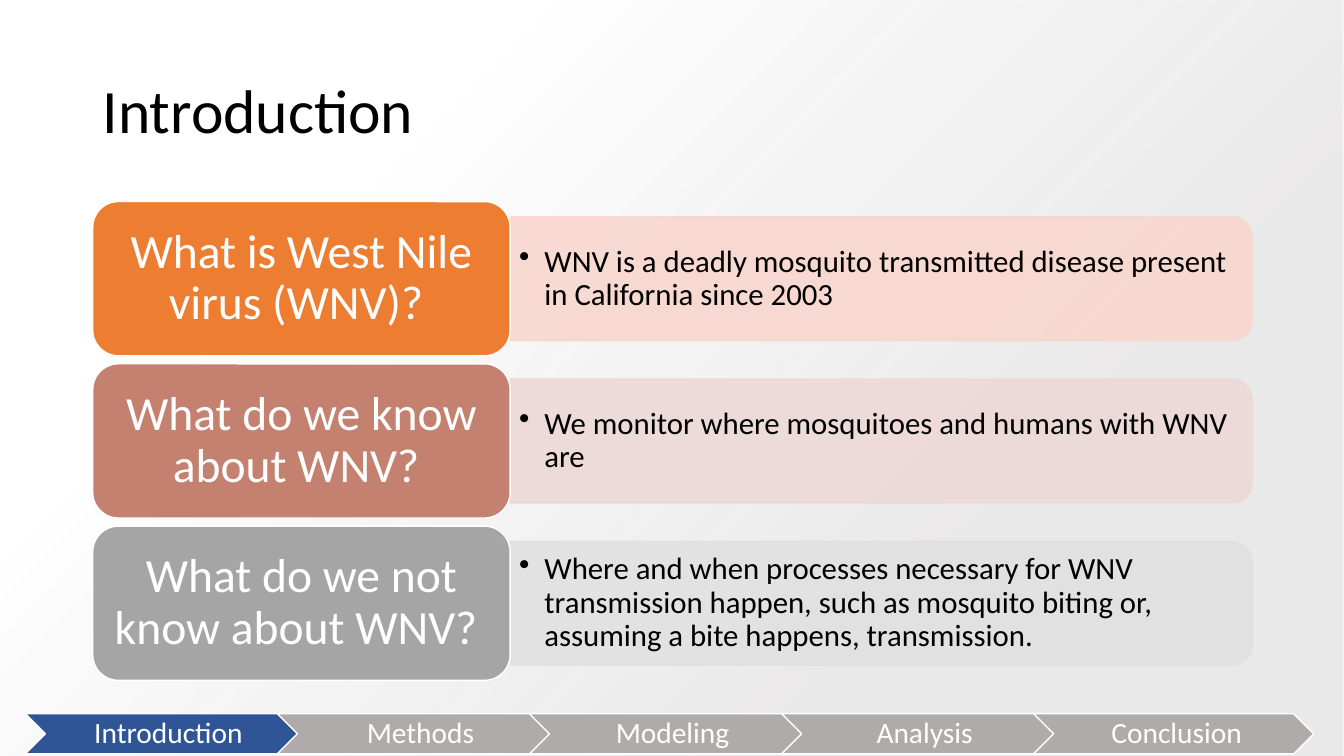
from lxml import etree
from pptx import Presentation
from pptx.dml.color import RGBColor
from pptx.enum.shapes import MSO_SHAPE
from pptx.enum.text import MSO_ANCHOR, PP_ALIGN
from pptx.oxml import parse_xml
from pptx.oxml.ns import nsdecls, qn
from pptx.util import Inches, Pt

RECTANGLE = MSO_SHAPE.RECTANGLE
ROUNDED = MSO_SHAPE.ROUNDED_RECTANGLE
TWO_ROUND_CORNERS = MSO_SHAPE.ROUND_2_SAME_RECTANGLE
CHEVRON = MSO_SHAPE.CHEVRON
MIDDLE = MSO_ANCHOR.MIDDLE
LEFT, CENTER = PP_ALIGN.LEFT, PP_ALIGN.CENTER

SLIDE_WIDTH, SLIDE_HEIGHT = 13.33, 7.5
MARGIN = 0.92
ROW_TOP, ROW_STEP, CARD_HEIGHT, CARD_WIDTH = 2, 1.61, 1.53, 4.14
PANEL_LEFT = MARGIN + CARD_WIDTH
PANEL_WIDTH, PANEL_HEIGHT = 7.36, 1.23
NAV_LEFT, NAV_STEP, NAV_TOP = 0.25, 2.5, 7.08

ROWS = [
    ("What is West Nile virus (WNV)? ", "ED7D31", "F8D7CE",
     "WNV is a deadly mosquito transmitted disease present in California since 2003"),
    ("What do we know about WNV? ", "C48170", "EDD9D7",
     "We monitor where mosquitoes and humans with WNV are"),
    ("What do we not know about WNV? ", "A5A5A5", "E1E1E1",
     "Where and when processes necessary for WNV transmission happen, such as "
     "mosquito biting or, assuming a bite happens, transmission."),
]
SECTIONS = ["Introduction", "Methods", "Modeling", "Analysis", "Conclusion"]

presentation = Presentation()
presentation.slide_width = Inches(SLIDE_WIDTH)
presentation.slide_height = Inches(SLIDE_HEIGHT)
slide = presentation.slides.add_slide(presentation.slide_layouts[6])


def add_block(kind, left, top, width, height, fill, line):
    shape = slide.shapes.add_shape(
        kind, Inches(left), Inches(top), Inches(width), Inches(height))
    shape.shadow.inherit = False
    shape.fill.solid()
    shape.fill.fore_color.rgb = RGBColor.from_string(fill)
    shape.line.color.rgb = RGBColor.from_string(line)
    shape.line.width = Pt(1)
    return shape


def write(shape, text, size, color, align, insets, bullet=False):
    """Fill a shape with one paragraph; insets are left, top, right, bottom in inches."""
    frame = shape.text_frame
    frame.word_wrap = True
    frame.vertical_anchor = MIDDLE
    (frame.margin_left, frame.margin_top,
     frame.margin_right, frame.margin_bottom) = map(Inches, insets)
    frame.text = text
    paragraph = frame.paragraphs[0]
    paragraph.alignment = align
    paragraph.line_spacing = 0.9
    if bullet:
        properties = paragraph._p.get_or_add_pPr()
        properties.set("marL", str(Inches(0.25)))
        properties.set("indent", str(Inches(-0.25)))
        etree.SubElement(properties, qn("a:buChar")).set("char", "•")
    font = paragraph.runs[0].font
    font.name = "Calibri"
    font.size = Pt(size)
    font.color.rgb = RGBColor.from_string(color)


# Backdrop with a gradient spreading from the bottom right corner
backdrop = add_block(RECTANGLE, 0, 0, SLIDE_WIDTH, SLIDE_HEIGHT, "FFFFFF", "FFFFFF")
backdrop.line.fill.background()
solid_fill = backdrop._element.spPr.find(qn("a:solidFill"))
solid_fill.getparent().replace(solid_fill, parse_xml(
    f'<a:gradFill {nsdecls("a")} rotWithShape="1"><a:gsLst>'
    '<a:gs pos="28000"><a:srgbClr val="E7E6E6"><a:alpha val="84000"/></a:srgbClr></a:gs>'
    '<a:gs pos="74000"><a:srgbClr val="FFFFFF"/></a:gs></a:gsLst>'
    '<a:path path="circle"><a:fillToRect l="100000" t="100000"/></a:path></a:gradFill>'))

title = slide.shapes.add_textbox(
    Inches(MARGIN), Inches(0.4), Inches(11.5), Inches(1.45))
write(title, "Introduction", 44, "000000", LEFT, (0.1, 0.05, 0.1, 0.05))

# Question cards with their answer panels
for row, (question, card_color, panel_color, answer) in enumerate(ROWS):
    top = ROW_TOP + row * ROW_STEP
    middle = top + CARD_HEIGHT / 2

    # The panel is a tall shape turned so that its round corners face right
    panel = add_block(
        TWO_ROUND_CORNERS, PANEL_LEFT + (PANEL_WIDTH - PANEL_HEIGHT) / 2,
        middle - PANEL_WIDTH / 2, PANEL_HEIGHT, PANEL_WIDTH, panel_color, panel_color)
    panel.rotation = 90
    for color in panel._element.spPr.iter(qn("a:srgbClr")):
        etree.SubElement(color, qn("a:alpha")).set("val", "90000")

    answer_box = slide.shapes.add_textbox(
        Inches(PANEL_LEFT), Inches(middle - 0.555), Inches(7.3), Inches(1.11))
    write(answer_box, answer, 22, "000000", LEFT, (0.09, 0.05, 0.09, 0.05), bullet=True)

    card = add_block(ROUNDED, MARGIN, top, CARD_WIDTH, CARD_HEIGHT, card_color, "FFFFFF")
    write(card, question, 34, "FFFFFF", CENTER, (0.14, 0.07, 0.14, 0.07))

# Section trail along the bottom edge
for position, section in enumerate(SECTIONS):
    fill = "2F5597" if section == "Introduction" else "AFABAB"
    chevron = add_block(
        CHEVRON, NAV_LEFT + position * NAV_STEP, NAV_TOP, 2.78, 0.4, fill, "FFFFFF")
    write(chevron, section, 21, "FFFFFF", CENTER, (0.09, 0.03, 0.03, 0.03))

presentation.save("out.pptx")
